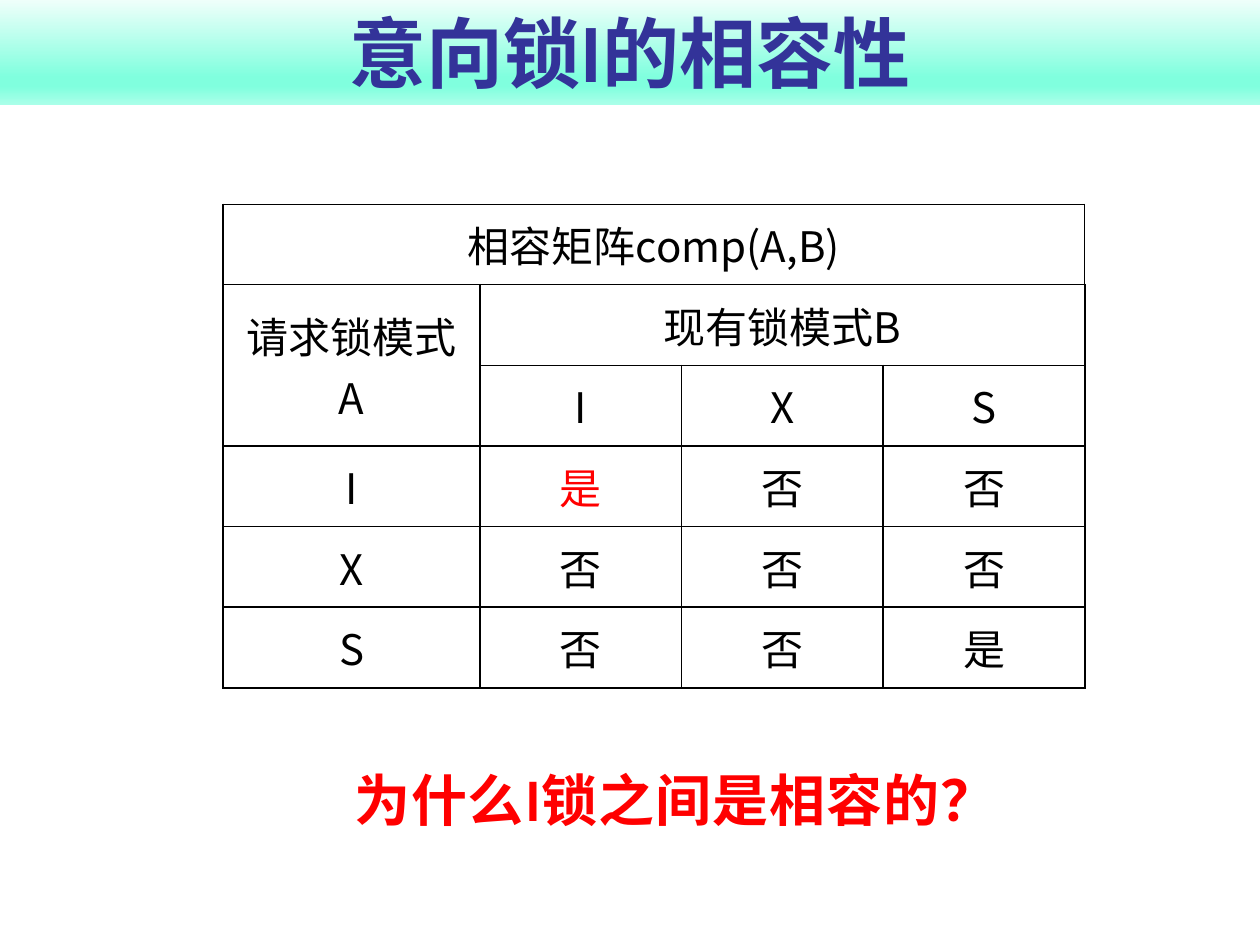
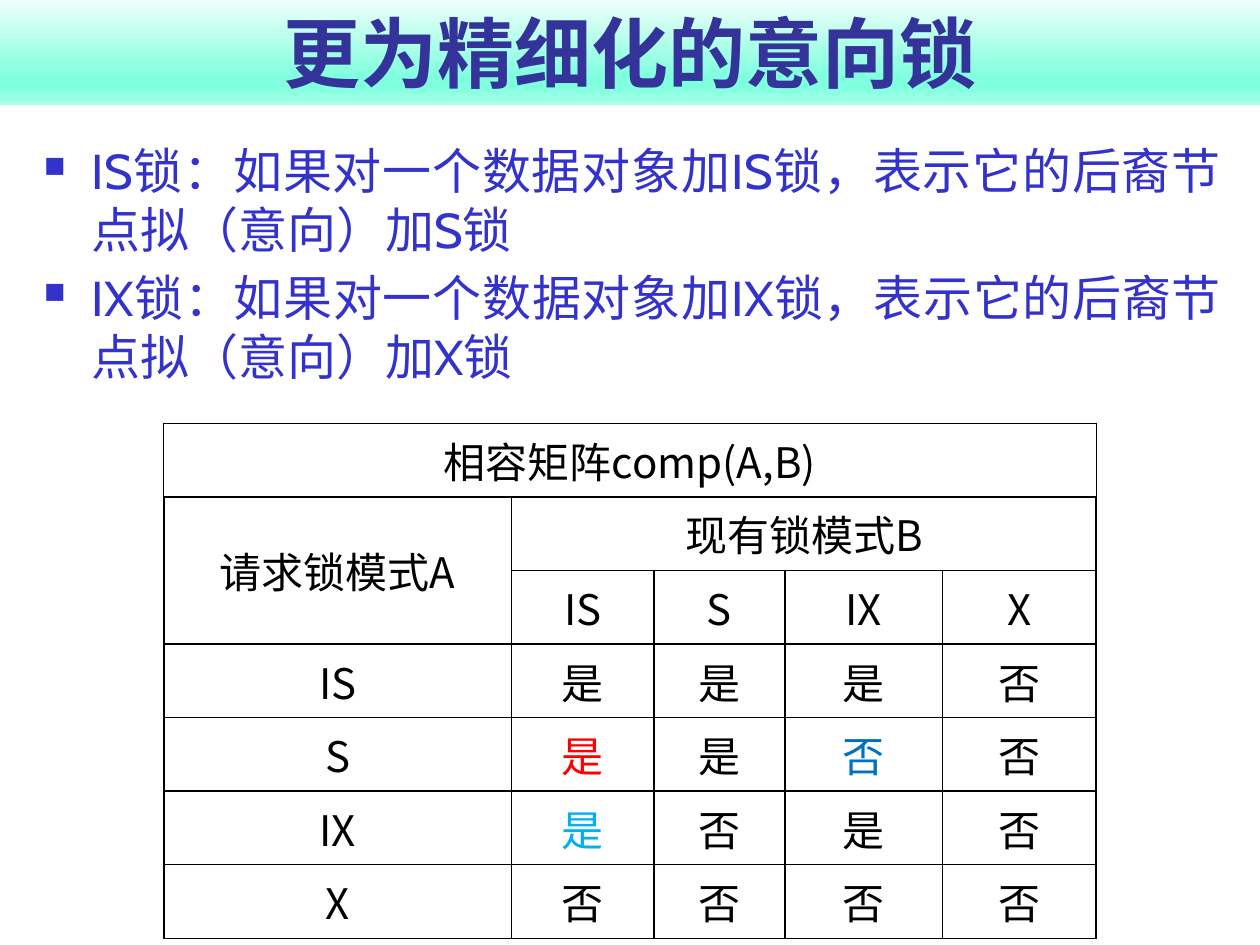
from lxml import etree
from pptx import Presentation
from pptx.dml.color import RGBColor
from pptx.enum.text import MSO_ANCHOR as Anchor, MSO_AUTO_SIZE as AutoSize, PP_ALIGN as Align
from pptx.oxml import parse_xml
from pptx.oxml.ns import nsdecls, qn
from pptx.util import Inches, Pt

NAVY = RGBColor(0x33, 0x33, 0x99)
BLUE = RGBColor(0x33, 0x33, 0xCC)
RED = RGBColor(0xFF, 0x00, 0x00)
BLACK = RGBColor(0x00, 0x00, 0x00)
MID_BLUE = RGBColor(0x00, 0x70, 0xC0)
SKY = RGBColor(0x00, 0xB0, 0xF0)
HEADING_FONT = "Cabin"
TABLE_FONT = "Noto Sans CJK SC"
BAND_STOPS = [(0, "F1FFFB"), (74, "80FFDE"), (83, "80FFDE"), (100, "AAFFE9")]

SLIDES = [
    {
        "title": "意向锁I的相容性",
        "place": (1.77, 1.62),
        "columns": [2.04, 1.6, 1.6, 1.6],
        "row_height": 0.64,
        "modes": ["I", "X", "S"],
        "answers": ["是否否", "否否否", "否否是"],
        "accents": {(0, 0): RED},
    },
    {
        "title": "更为精细化的意向锁",
        "place": (1.3, 3.36),
        "columns": [2.76, 1.13, 1.04, 1.25, 1.22],
        "row_height": 0.56,
        "modes": ["IS", "S", "IX", "X"],
        "answers": ["是是是否", "是是否否", "是否是否", "否否否否"],
        "accents": {(1, 0): RED, (1, 2): MID_BLUE, (2, 0): SKY},
    },
]


def add_span(para, text, font, size, color, bold=False):
    span = para.add_run()
    span.text = text
    span.font.name = font
    span.font.size = Pt(size)
    span.font.bold = bold
    span.font.color.rgb = color
    properties = span.font._element
    east_asian = etree.SubElement(properties, qn("a:ea"))
    east_asian.set("typeface", font)
    return properties


def add_matrix(page, info):
    modes, widths = info["modes"], info["columns"]
    blanks = [""] * (len(modes) - 1)
    rows = [["相容矩阵comp(A,B)", "", *blanks], ["请求锁模式A", "现有锁模式B", *blanks], ["", *modes]]
    rows += [[mode, *answers] for mode, answers in zip(modes, info["answers"])]
    left, top = info["place"]
    height = info["row_height"]
    table = page.shapes.add_table(len(rows), len(widths), Inches(left), Inches(top),
                                  Inches(sum(widths)), Inches(height * len(rows))).table
    table.first_row = False
    table.horz_banding = False
    for column, width in zip(table.columns, widths):
        column.width = Inches(width)
    for row in table.rows:
        row.height = Inches(height)
    last = len(modes)
    table.cell(0, 0).merge(table.cell(0, last))
    table.cell(1, 0).merge(table.cell(2, 0))
    table.cell(1, 1).merge(table.cell(1, last))
    for r, texts in enumerate(rows):
        for c, text in enumerate(texts):
            cell = table.cell(r, c)
            cell.vertical_anchor = Anchor.MIDDLE
            cell.fill.background()
            for position, side in enumerate(["lnL", "lnR", "lnT", "lnB"]):
                weight = 0.75 if r == 0 and side != "lnB" else 1
                cell._tc.tcPr.insert(position, parse_xml(
                    f'<a:{side} {nsdecls("a")} w="{Pt(weight)}"><a:solidFill>'
                    f'<a:srgbClr val="{BLACK}"/></a:solidFill></a:{side}>'))
            if text:
                para = cell.text_frame.paragraphs[0]
                para.alignment = Align.CENTER
                color = info["accents"].get((r - 3, c - 1), BLACK)
                add_span(para, text, TABLE_FONT, 24, color)


deck = Presentation()
deck.slide_width = Inches(10)
deck.slide_height = Inches(7.5)
stops = "".join(f'<a:gs pos="{pos * 1000}"><a:srgbClr val="{color}"/></a:gs>'
                for pos, color in BAND_STOPS)

pages = []
for info in SLIDES:
    page = deck.slides.add_slide(deck.slide_layouts[5])
    pages.append(page)
    title = page.shapes.title
    title.left, title.top = Inches(0), Inches(-0.01)
    title.width, title.height = Inches(10), Inches(0.84)
    title._element.spPr.append(parse_xml(
        f'<a:gradFill {nsdecls("a")} rotWithShape="1"><a:gsLst>{stops}</a:gsLst>'
        '<a:lin ang="5400000" scaled="0"/></a:gradFill>'))
    frame = title.text_frame
    frame.auto_size = AutoSize.NONE
    frame.vertical_anchor = Anchor.BOTTOM
    para = frame.paragraphs[0]
    para.alignment = Align.CENTER
    add_span(para, info["title"], HEADING_FONT, 44, NAVY, bold=True)
    add_matrix(page, info)

question = pages[0].shapes.add_textbox(Inches(2.64), Inches(6.03), Inches(5.44), Inches(0.64))
question.text_frame.word_wrap = True
para = question.text_frame.paragraphs[0]
para.alignment = Align.CENTER
properties = add_span(para, "为什么I锁之间是相容的？", HEADING_FONT, 32, RED, bold=True)
properties.set("spc", "50")

definitions = pages[1].shapes.add_textbox(Inches(0.25), Inches(1.07), Inches(9.54), Inches(2.13))
frame = definitions.text_frame
frame.word_wrap = True
for index, (lock, target) in enumerate([("IS", "S"), ("IX", "X")]):
    para = frame.add_paragraph() if index else frame.paragraphs[0]
    layout = para._p.get_or_add_pPr()
    layout.set("marL", str(Inches(0.38)))
    layout.set("indent", str(Inches(-0.38)))
    for bullet in [f'<a:buClr {nsdecls("a")}><a:srgbClr val="{BLUE}"/></a:buClr>',
                   f'<a:buSzPct {nsdecls("a")} val="60000"/>',
                   f'<a:buChar {nsdecls("a")} char="■"/>']:
        layout.append(parse_xml(bullet))
    para.alignment = Align.JUSTIFY
    para.space_before = Pt(5 * index)
    add_span(para, f"{lock}锁：如果对一个数据对象加{lock}锁，表示它的后裔节点拟（意向）加{target}锁",
             HEADING_FONT, 28, BLUE)

deck.save("out.pptx")
